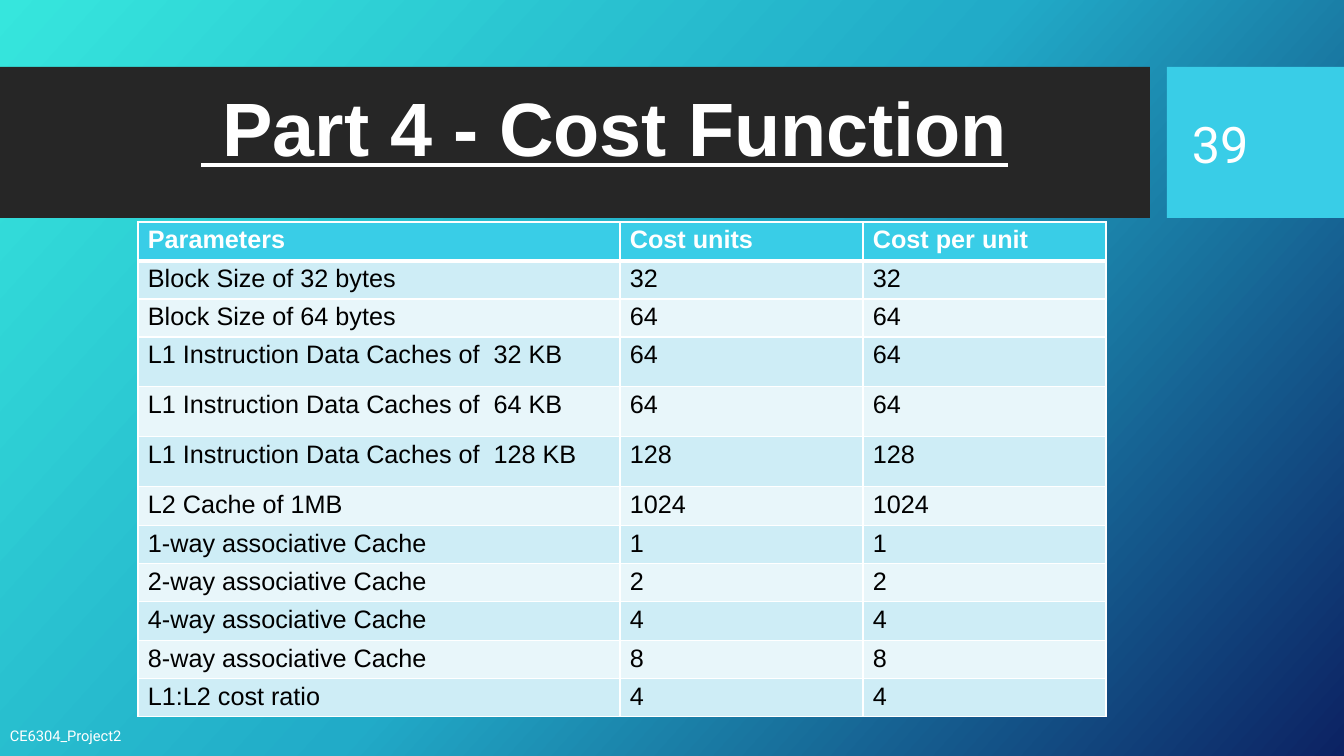
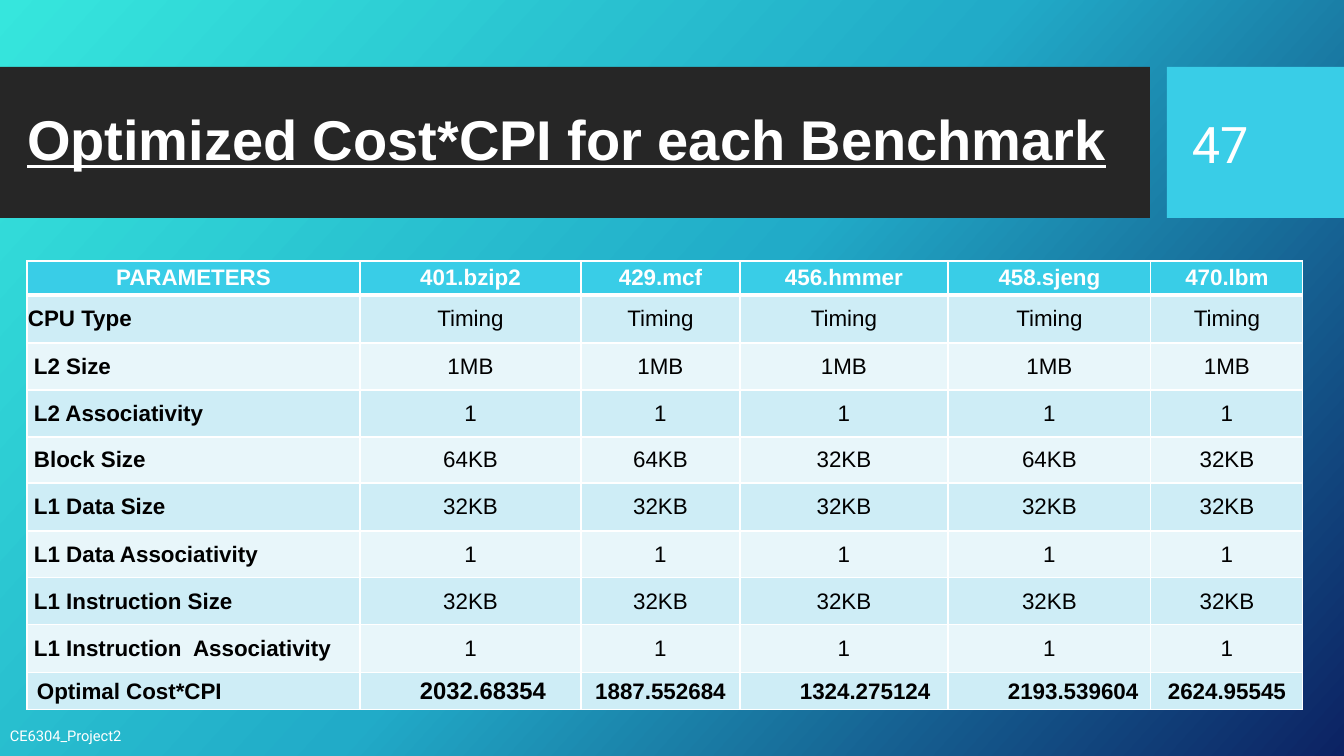
from copy import deepcopy

from lxml.etree import SubElement
from pptx import Presentation
from pptx.dml.color import RGBColor
from pptx.enum.shapes import MSO_SHAPE as Shape
from pptx.enum.text import MSO_ANCHOR as Anchor, MSO_AUTO_SIZE as AutoSize, PP_ALIGN as Align
from pptx.oxml.ns import qn
from pptx.util import Emu, Pt

# Shared look
COLORS = {
    "white": "FFFFFF", "black": "000000", "dark": "262626", "accent": "39CDE7",
    "odd_row": "CEEDF6", "even_row": "E8F6FA",
}
GRADIENT = [(0, "36E6DD"), (0.5, "21ABC8"), (1, "0C2263")]
GRADIENT_ANGLE = 42
BANDS = [((0, 67, 1150, 151), "dark"), ((1167, 67, 177, 151), "accent")]
FOOTER = "CE6304_Project2"
FOOTER_AT = (0, 716, 757, 40)
NUMBER_AT = (1182, 83, 127, 120)
SLIDE_SIZE = (1344, 756)
CELL_PAD = 10

# Cost function slide
COST = {
    "title": " Part 4 - Cost Function", "title_at": (75, 106, 1059, 53),
    "title_size": 54, "title_align": Align.CENTER, "number": "39",
    "table_at": (138, 222), "text_size": 18, "anchor": Anchor.TOP,
    "columns": [482, 243, 243],
    "heights": [39, 38, 38, 50, 50, 50, 39, 38, 38, 39, 38, 38],
    "rows": [
        ("Parameters", "Cost units", "Cost per unit"),
        ("Block Size of 32 bytes", "32", "32"),
        ("Block Size of 64 bytes", "64", "64"),
        ("L1 Instruction Data Caches of  32 KB", "64", "64"),
        ("L1 Instruction Data Caches of  64 KB", "64", "64"),
        ("L1 Instruction Data Caches of  128 KB", "128", "128"),
        ("L2 Cache of 1MB", "1024", "1024"),
        ("1-way associative Cache", "1", "1"),
        ("2-way associative Cache", "2", "2"),
        ("4-way associative Cache", "4", "4"),
        ("8-way associative Cache", "8", "8"),
        ("L1:L2 cost ratio", "4", "4"),
    ],
}

# Benchmark slide
BENCHMARK = {
    "title": "Optimized Cost*CPI for each Benchmark", "title_at": (17, 83, 1117, 119),
    "title_size": 40, "title_align": Align.LEFT, "number": "47",
    "table_at": (27, 261), "text_size": 16, "anchor": Anchor.MIDDLE,
    "columns": [333, 221, 159, 208, 203, 152],
    "heights": [34, 48, 47, 47, 46, 48, 47, 47, 48, 37],
    "rows": [
        ("PARAMETERS", "401.bzip2", "429.mcf", "456.hmmer", "458.sjeng", "470.lbm"),
        ("CPU Type",) + ("Timing",) * 5,
        ("L2 Size",) + ("1MB",) * 5,
        ("L2 Associativity",) + ("1",) * 5,
        ("Block Size", "64KB", "64KB", "32KB", "64KB", "32KB"),
        ("L1 Data Size",) + ("32KB",) * 5,
        ("L1 Data Associativity",) + ("1",) * 5,
        ("L1 Instruction Size",) + ("32KB",) * 5,
        ("L1 Instruction  Associativity",) + ("1",) * 5,
        ("Optimal Cost*CPI", "2032.68354", "1887.552684", "1324.275124",
         "2193.539604", "2624.95545"),
    ],
}
INDENTED_RESULTS = (1, 3, 4)


def px(length):
    return Emu(round(length * 12192000 / SLIDE_SIZE[0]))


def place(at):
    return [px(length) for length in at]


def rgb(name):
    return RGBColor.from_string(COLORS[name])


def write(holder, text, size, color="white", font="Arial", bold=False,
          underline=None, align=Align.LEFT):
    frame = holder.text_frame
    frame.text = text
    para = frame.paragraphs[0]
    para.alignment = align
    style = para.runs[0].font
    style.name, style.size, style.bold = font, Pt(size), bold
    style.underline = underline
    style.color.rgb = rgb(color)
    return para


# Background and bands live on the layout
def dress_layout(layout, page):
    fill = layout.background.fill
    fill.gradient()
    fill.gradient_angle = 360 - GRADIENT_ANGLE
    stop_list = next(layout.element.iter(qn("a:gsLst")))
    stop_list.append(deepcopy(stop_list[-1]))
    for stop, (position, color) in zip(fill.gradient_stops, GRADIENT):
        stop.position = position
        stop.color.rgb = RGBColor.from_string(color)
    for index, (at, color) in enumerate(BANDS):
        band = page.shapes.add_shape(Shape.RECTANGLE, *place(at))
        band.shadow.inherit = False
        band.fill.solid()
        band.fill.fore_color.rgb = rgb(color)
        band.line.fill.background()
        layout.shapes.element.insert(2 + index, band.element)


def add_title(page, content):
    title = page.shapes.title
    title.left, title.top, title.width, title.height = place(content["title_at"])
    para = write(title, content["title"], content["title_size"], bold=True,
                 underline=True, align=content["title_align"])
    para.line_spacing = 0.9
    frame = title.text_frame
    frame.auto_size = AutoSize.NONE
    frame.word_wrap = True
    frame.vertical_anchor = Anchor.MIDDLE


def add_label(page, at, text, size):
    box = page.shapes.add_textbox(*place(at))
    box.text_frame.word_wrap = True
    box.text_frame.vertical_anchor = Anchor.MIDDLE
    write(box, text, size, font="Roboto")


def set_borders(cell, top, bottom):
    properties = cell._tc.get_or_add_tcPr()
    sides = [("lnL", 1), ("lnR", 1), ("lnT", top), ("lnB", bottom)]
    for index, (side, width) in enumerate(sides):
        line = SubElement(properties, qn(f"a:{side}"), w=str(Pt(width)))
        solid = SubElement(line, qn("a:solidFill"))
        SubElement(solid, qn("a:srgbClr"), val=COLORS["white"])
        properties.insert(index, line)


# Each cell style: bold, alignment, left padding, size
def cost_style(row, column):
    return row == 0, Align.LEFT, CELL_PAD, COST["text_size"]


def benchmark_style(row, column):
    size = BENCHMARK["text_size"]
    last = len(BENCHMARK["rows"]) - 1
    if row == last:
        if column in INDENTED_RESULTS:
            return True, Align.LEFT, CELL_PAD + 50, 17 if column == 1 else size
        return True, Align.CENTER if column else Align.LEFT, CELL_PAD, size
    if row and column == 0:
        return True, Align.LEFT, 1 if row == 1 else 7, size
    return row == 0, Align.CENTER, CELL_PAD, size


def add_grid(page, content, cell_style):
    rows, columns, heights = content["rows"], content["columns"], content["heights"]
    at = content["table_at"] + (sum(columns), sum(heights))
    table = page.shapes.add_table(len(rows), len(columns), *place(at)).table
    for column, width in zip(table.columns, columns):
        column.width = px(width)
    for row, height in zip(table.rows, heights):
        row.height = px(height)
    for r, texts in enumerate(rows):
        shade = "accent" if r == 0 else "odd_row" if r % 2 else "even_row"
        for c, text in enumerate(texts):
            cell = table.cell(r, c)
            bold, align, pad, size = cell_style(r, c)
            write(cell, text, size, "black" if r else "white", bold=bold, align=align)
            cell.vertical_anchor = content["anchor"]
            cell.margin_left = px(pad)
            cell.margin_right = px(min(pad, CELL_PAD))
            cell.margin_top = cell.margin_bottom = px(4)
            cell.fill.solid()
            cell.fill.fore_color.rgb = rgb(shade)
            set_borders(cell, top=3 if r == 1 else 1, bottom=1 if r else 3)


def main():
    deck = Presentation()
    deck.slide_width, deck.slide_height = place(SLIDE_SIZE)
    layout = deck.slide_layouts[5]
    for content, cell_style in [(COST, cost_style), (BENCHMARK, benchmark_style)]:
        page = deck.slides.add_slide(layout)
        if len(deck.slides) == 1:
            dress_layout(layout, page)
        add_title(page, content)
        add_grid(page, content, cell_style)
        add_label(page, FOOTER_AT, FOOTER, 10.5)
        add_label(page, NUMBER_AT, content["number"], 36)
    deck.save("out.pptx")


if __name__ == "__main__":
    main()
